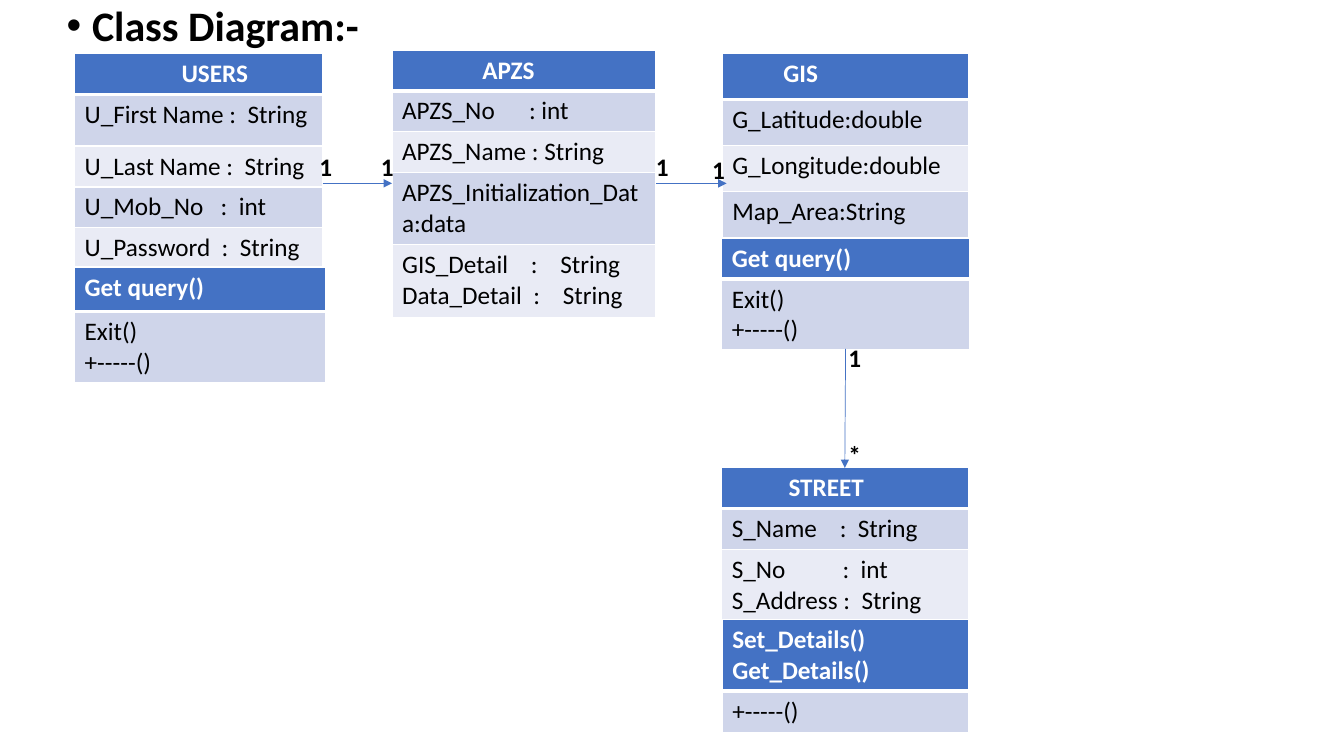
from typing import NamedTuple

from lxml import etree
from pptx import Presentation
from pptx.dml.color import RGBColor
from pptx.enum.shapes import MSO_CONNECTOR
from pptx.oxml.ns import qn
from pptx.util import Cm, Pt

STRAIGHT = MSO_CONNECTOR.STRAIGHT
FONT = "Calibri"
BODY_SIZE = 18
SPACE_WIDTH = 0.226  # width of a space as a share of the font size
COLORS = {
    "header": "4472C4",
    "odd_row": "CFD5EA",
    "even_row": "E9EBF5",
    "white": "FFFFFF",
    "black": "000000",
}


class Line(NamedTuple):
    text: str
    gaps: tuple[int, ...] = ()  # width of each gap between words, in spaces
    indent: float = 0


class Row(NamedTuple):
    height: float
    lines: list[Line]


class Block(NamedTuple):
    left: float
    top: float
    width: float
    rows: list[Row]  # the first row is the header


class Arrow(NamedTuple):
    start: tuple[float, float]
    end: tuple[float, float]


class Multiplicity(NamedTuple):
    text: str
    left: float
    top: float


EXIT_LINES = [Line("Exit()"), Line("+-----()")]

BLOCKS = [
    # Users
    Block(1.88, 1.35, 6.25, [
        Row(1.03, [Line("USERS", indent=2.44)]),
        Row(1.3, [Line("U_First Name : String", (1, 1, 2))]),
        Row(1.03, [Line("U_Last Name : String", (1, 1, 2))]),
        Row(1.03, [Line("U_Mob_No : int", (3, 2))]),
        Row(1.03, [Line("U_Password : String", (2, 2))]),
    ]),
    Block(1.88, 6.73, 6.32, [
        Row(1.12, [Line("Get query()")]),
        Row(1.12, EXIT_LINES),
    ]),
    # APZS
    Block(9.88, 1.27, 6.65, [
        Row(1.02, [Line("APZS", indent=2.02)]),
        Row(1.03, [Line("APZS_No : int", (6, 1))]),
        Row(1.03, [Line("APZS_Name : String")]),
        Row(1.81, [Line("APZS_Initialization_Data:data")]),
        Row(1.85, [Line("GIS_Detail : String", (4, 4)),
                   Line("Data_Detail : String", (2, 4))]),
    ]),
    # GIS
    Block(18.2, 1.35, 6.22, [
        Row(1.16, [Line("GIS", indent=1.29)]),
        Row(1.16, [Line("G_Latitude:double")]),
        Row(1.16, [Line("G_Longitude:double")]),
        Row(1.16, [Line("Map_Area:String")]),
    ]),
    Block(18.19, 6, 6.25, [
        Row(1.03, [Line("Get query()")]),
        Row(1.78, EXIT_LINES),
    ]),
    # Street
    Block(18.19, 11.79, 6.22, [
        Row(1.02, [Line("STREET", indent=1.43)]),
        Row(1.03, [Line("S_Name : String", (4, 2))]),
        Row(1.04, [Line("S_No : int", (10, 2)),
                   Line("S_Address : String", (1, 2))]),
    ]),
    Block(18.2, 15.62, 6.22, [
        Row(1.8, [Line("Set_Details()"), Line("Get_Details()")]),
        Row(1.04, [Line("+-----()")]),
    ]),
]

ARROWS = [
    Arrow((8.13, 4.62), (9.88, 4.62)),
    Arrow((21.31, 8.79), (21.29, 11.79)),
    Arrow((16.54, 4.62), (18.31, 4.62)),
]

MULTIPLICITIES = [
    Multiplicity("1", 7.8, 3.68),
    Multiplicity("1", 9.35, 3.68),
    Multiplicity("1", 21.13, 8.51),
    Multiplicity("1", 16.28, 3.68),
    Multiplicity("1", 17.7, 3.76),
    Multiplicity("*", 21.13, 10.95),
]


def rgb(name: str) -> RGBColor:
    return RGBColor.from_string(COLORS[name])


def add_run(paragraph, text: str, size: float, bold: bool, color: str):
    run = paragraph.add_run()
    run.text = text
    run.font.name = FONT
    run.font.size = Pt(size)
    run.font.bold = bold
    run.font.color.rgb = rgb(color)
    return run


def write_line(paragraph, line: Line, *, size: float = BODY_SIZE,
               bold: bool = False, color: str = "black",
               bullet: str = "", hanging: float = 0) -> None:
    properties = paragraph._p.get_or_add_pPr()
    properties.set("marL", str(Cm(line.indent)))
    properties.set("indent", str(Cm(-hanging)))
    if bullet:
        etree.SubElement(properties, qn("a:buFont"), typeface="Arial")
        etree.SubElement(properties, qn("a:buChar"), char=bullet)
    words = line.text.split(" ") if line.gaps else [line.text]
    add_run(paragraph, words[0], size, bold, color)
    for word, gap in zip(words[1:], line.gaps):
        # One space, widened by character spacing
        space = add_run(paragraph, " ", size, bold, color)
        spacing = round((gap - 1) * SPACE_WIDTH * size * 100)
        space._r.get_or_add_rPr().set("spc", str(spacing))
        add_run(paragraph, word, size, bold, color)


def add_text(slide, line: Line, left: float, top: float, width: float,
             height: float, **text_format):
    shape = slide.shapes.add_textbox(Cm(left), Cm(top), Cm(width), Cm(height))
    shape.text_frame.word_wrap = True
    paragraph = shape.text_frame.paragraphs[0]
    write_line(paragraph, line, **text_format)
    return paragraph


def set_borders(cell, bottom_width: float) -> None:
    properties = cell._tc.get_or_add_tcPr()
    widths = {"lnL": 1, "lnR": 1, "lnT": 1, "lnB": bottom_width}
    for position, (side, width) in enumerate(widths.items()):
        border = etree.Element(qn(f"a:{side}"), w=str(Pt(width)))
        fill = etree.SubElement(border, qn("a:solidFill"))
        etree.SubElement(fill, qn("a:srgbClr"), val=COLORS["white"])
        properties.insert(position, border)


def add_block(slide, block: Block) -> None:
    height = sum(row.height for row in block.rows)
    table = slide.shapes.add_table(
        len(block.rows), 1, Cm(block.left), Cm(block.top),
        Cm(block.width), Cm(height)).table
    table.first_row = table.horz_banding = False
    for index, row in enumerate(block.rows):
        is_header = index == 0
        table.rows[index].height = Cm(row.height)
        cell = table.cell(index, 0)
        band = "odd_row" if index % 2 else "even_row"
        cell.fill.solid()
        cell.fill.fore_color.rgb = rgb("header" if is_header else band)
        set_borders(cell, bottom_width=3 if is_header else 1)
        for number, line in enumerate(row.lines):
            frame = cell.text_frame
            paragraph = frame.add_paragraph() if number else frame.paragraphs[0]
            write_line(paragraph, line, bold=is_header,
                       color="white" if is_header else "black")


def add_arrow(slide, arrow: Arrow) -> None:
    connector = slide.shapes.add_connector(
        STRAIGHT, *map(Cm, arrow.start), *map(Cm, arrow.end))
    connector.line.color.rgb = rgb("header")
    connector.line.width = Pt(0.5)
    etree.SubElement(connector.line._get_or_add_ln(), qn("a:tailEnd"),
                     type="triangle")
    etree.SubElement(connector._element.spPr, qn("a:effectLst"))


def main() -> None:
    presentation = Presentation()
    presentation.slide_width, presentation.slide_height = Cm(33.87), Cm(19.05)
    slide = presentation.slides.add_slide(presentation.slide_layouts[6])
    # Heading
    heading = add_text(slide, Line("Class Diagram:-", indent=0.64),
                       1.43, 0, 30.1, 1.3, size=30, bold=True,
                       bullet="•", hanging=0.64)
    heading.line_spacing = 0.9
    # Classes and their relations
    for block in BLOCKS:
        add_block(slide, block)
    for arrow in ARROWS:
        add_arrow(slide, arrow)
    for label in MULTIPLICITIES:
        add_text(slide, Line(label.text), label.left, label.top, 0.84, 1.02,
                 bold=True)
    presentation.save("out.pptx")


if __name__ == "__main__":
    main()
